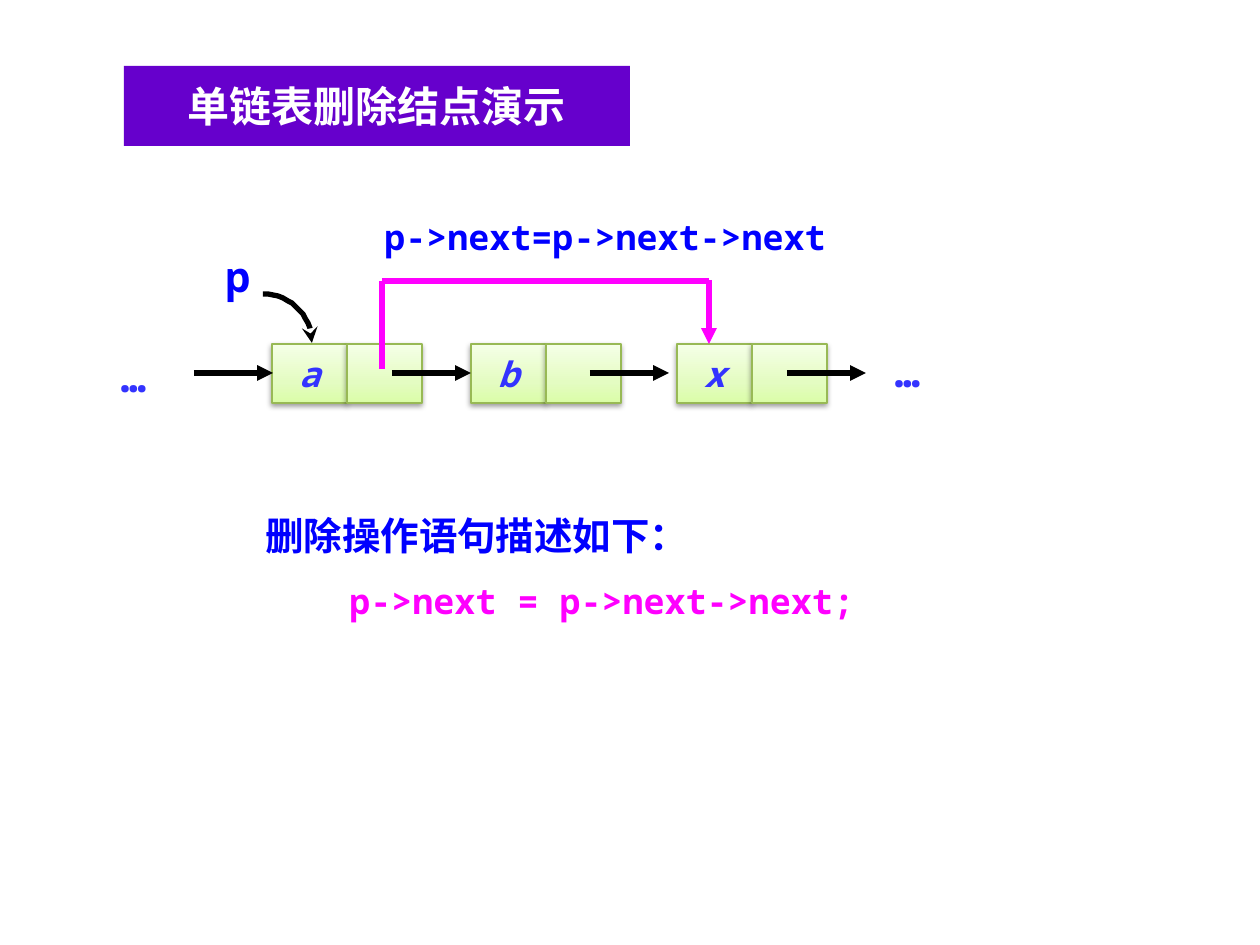
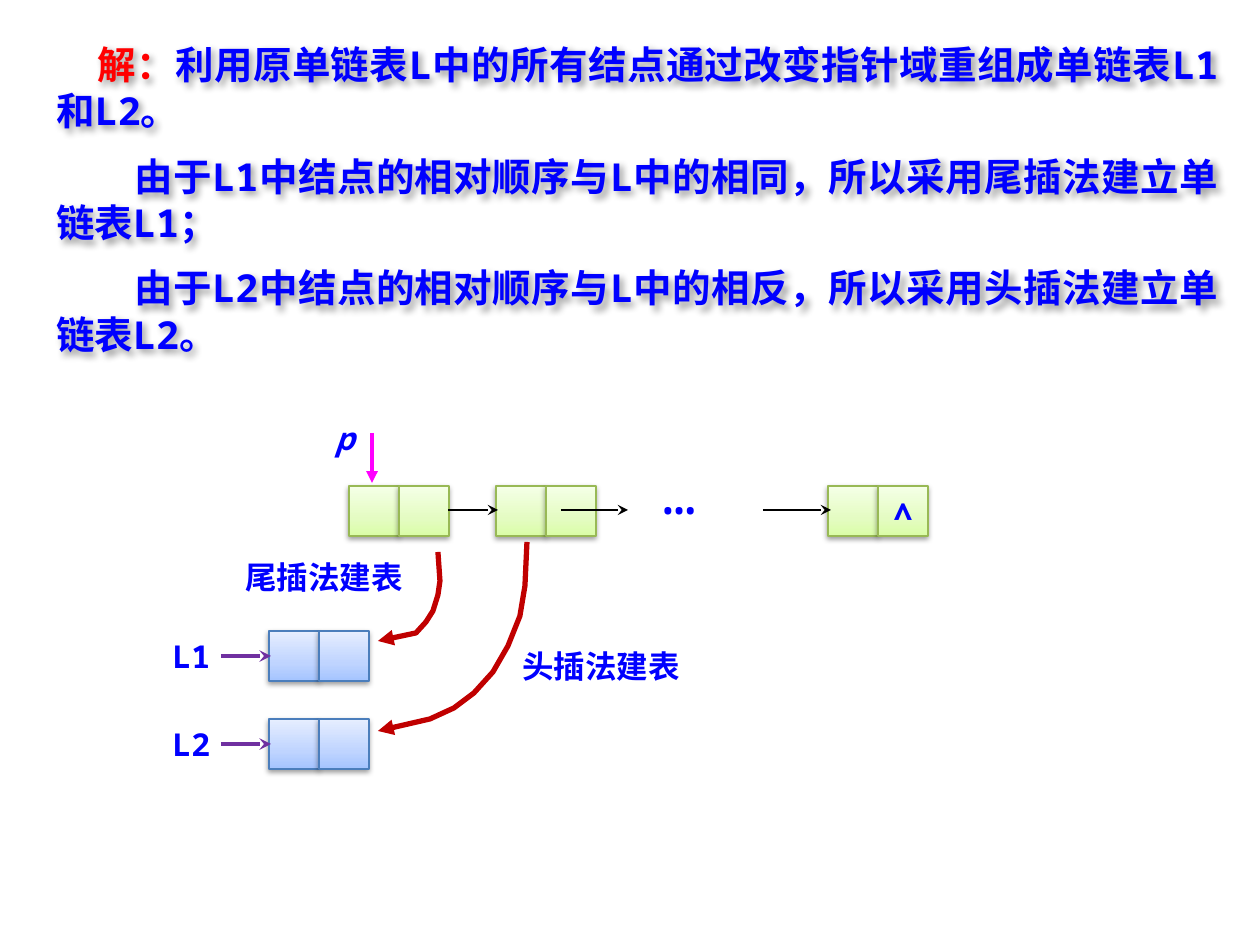
import math
from dataclasses import dataclass

from lxml import etree
from pptx import Presentation
from pptx import util as u
from pptx.dml.color import RGBColor
from pptx.enum import shapes, text
from pptx.oxml.ns import qn

EMU_PX = 914400 / 126


@dataclass(frozen=True)
class Theme:
    mono: str = "Noto Sans Mono"
    hans: str = "Noto Sans CJK SC"
    blue: str = "0000FF"
    node: str = "3333FF"
    pink: str = "FF00FF"
    red: str = "FF0000"
    dark: str = "C00000"
    plum: str = "7030A0"
    band: str = "6600CC"
    black: str = "000000"
    white: str = "FFFFFF"
    small: int = 18
    code: int = 20
    body: int = 22
    head: int = 24
    dots: int = 32
    thin: float = 0.75
    mid: float = 2.25
    thick: float = 3
    # Gradient stops from bottom to top, then the outline
    green: tuple = ("DAFDA7", "E4FCC2", "F5FFE7", "98B955")
    sky: tuple = ("A4C4FF", "BFD4FF", "E6EEFF", "4B7EBC")


T = Theme()
LEFT, MID, FULL = (text.PP_ALIGN.LEFT, text.PP_ALIGN.CENTER,
                   text.PP_ALIGN.JUSTIFY)


def px(n):
    return u.Emu(round(n * EMU_PX))


def rgb(code):
    return RGBColor.from_string(code)


def sub(node, tag, **attrs):
    return etree.SubElement(node, qn(tag), {k: str(v) for k, v in attrs.items()})


def write(frame, words, size=T.code, color=T.blue, font=T.mono, bold=True,
          italic=False, align=LEFT, indent=0, before=0, lines=None, more=False):
    """Write one paragraph; words is a string or a list of (string, colour)."""
    para = frame.add_paragraph() if more else frame.paragraphs[0]
    para.alignment = align
    if indent:
        props = para._p.get_or_add_pPr()
        props.set("marL", "0")
        props.set("indent", str(px(indent)))
    if before:
        para.space_before = u.Pt(before)
    if lines:
        para.line_spacing = lines
    for part, tint in [(words, color)] if isinstance(words, str) else words:
        run = para.add_run()
        run.text = part
        face = run.font
        face.name, face.size = font, u.Pt(size)
        face.bold, face.italic = bold, italic
        face.color.rgb = rgb(tint)
        sub(run._r.rPr, "a:ea", typeface=T.hans)


def label(slide, words, x, y, w, h, **form):
    box = slide.shapes.add_textbox(px(x), px(y), px(w), px(h))
    box.text_frame.word_wrap = True
    write(box.text_frame, words, **form)
    return box


def shade(shape, blur, dist, angle, alpha):
    """Give the shape an outer shadow: points, degrees and percent."""
    shape.shadow.inherit = False
    glow = sub(shape._element.spPr.find(qn("a:effectLst")), "a:outerShdw",
               blurRad=u.Pt(blur), dist=u.Pt(dist), dir=angle * 60000,
               algn="t", rotWithShape=0)
    sub(sub(glow, "a:srgbClr", val=T.black), "a:alpha", val=alpha * 1000)


def rect(slide, x, y, w, h):
    shape = slide.shapes.add_shape(shapes.MSO_SHAPE.RECTANGLE,
                                   px(x), px(y), px(w), px(h))
    shape.shadow.inherit = False
    return shape


def cell(slide, x, y, w, h, tones, words="", **form):
    shape = rect(slide, x, y, w, h)
    shape.fill.background()
    props = shape._element.spPr
    grad = etree.Element(qn("a:gradFill"), rotWithShape="1")
    stops = sub(grad, "a:gsLst")
    for place, tone in zip((0, 35, 100), tones):
        sub(sub(stops, "a:gs", pos=place * 1000), "a:srgbClr", val=tone)
    sub(grad, "a:lin", ang=270 * 60000, scaled=0)
    props.replace(props.find(qn("a:noFill")), grad)
    shape.line.color.rgb = rgb(tones[3])
    shape.line.width = u.Pt(T.thin)
    shade(shape, 3.1, 1.6, 90, 38)
    if words:
        frame = shape.text_frame
        frame.word_wrap = False
        frame.vertical_anchor = text.MSO_ANCHOR.MIDDLE
        write(frame, words, align=MID, **form)


def pair(slide, x, y, w, h, tones, data="", link="", **form):
    """Draw a list node: a data cell and a link cell side by side."""
    cell(slide, x, y, w, h, tones, data, **form)
    cell(slide, x + w, y, w, h, tones, link, **form)


def stroke(shape, color, width, tip):
    shape.line.color.rgb = rgb(color)
    shape.line.width = u.Pt(width)
    props = shape._element.spPr
    if tip:
        sub(props.find(qn("a:ln")), "a:tailEnd", type=tip)
    if props.find(qn("a:effectLst")) is None:
        sub(props, "a:effectLst")


def line(slide, x1, y1, x2, y2, color=T.black, width=T.thick, tip="triangle"):
    wire = slide.shapes.add_connector(shapes.MSO_CONNECTOR.STRAIGHT,
                                      px(x1), px(y1), px(x2), px(y2))
    stroke(wire, color, width, tip)


def curve(slide, points, color, tip):
    pen = slide.shapes.build_freeform(*points[0], scale=EMU_PX)
    pen.add_line_segments(points[1:], close=False)
    shape = pen.convert_to_shape()
    shape.fill.background()
    shape.shadow.inherit = False
    stroke(shape, color, T.thick, tip)


def title(slide, words):
    band = rect(slide, 124, 66, 506, 80)
    band.fill.solid()
    band.fill.fore_color.rgb = rgb(T.band)
    band.line.fill.background()
    frame = band.text_frame
    frame.word_wrap = True
    frame.vertical_anchor = text.MSO_ANCHOR.TOP
    frame.margin_left = frame.margin_right = px(23)
    frame.margin_top = frame.margin_bottom = px(15)
    write(frame, words, size=T.head, color=T.white, align=MID)


def erase(slide):
    """Slide on deleting a node from a linked list."""
    for x, name in ((272, "a"), (471, "b"), (677, "x")):
        pair(slide, x, 344, 75, 59, T.green, name, color=T.node, italic=True)
    for x, y in ((868, 339), (94, 344)):
        label(slide, "…", x, y, 79, 63, size=T.head, color=T.node, align=MID)
    turns = [math.radians(a) for a in range(0, 91, 6)]
    curve(slide, [(263 + 49 * math.sin(t), 343 - 49 * math.cos(t))
                  for t in turns], T.black, "stealth")
    label(slide, "p", 213, 244, 59, 63, size=T.head)
    for x in (194, 392, 590, 787):
        line(slide, x, 373, x + 79, 373)

    label(slide, "p->next=p->next->next", 372, 209, 515, 54)
    line(slide, 382, 369, 382, 281, T.pink, tip=None)
    line(slide, 709, 280, 709, 344, T.pink)
    line(slide, 382, 281, 709, 281, T.pink, tip=None)

    note = label(slide, "删除操作语句描述如下：", 253, 483, 675, 159,
                 size=T.body, lines=1.5)
    write(note.text_frame, "p->next = p->next->next;", color=T.pink,
          indent=84, lines=1.5, more=True)
    title(slide, "单链表删除结点演示")


def split(slide):
    """Slide on splitting L into L1 and L2."""
    note = label(slide, [("解：", T.red),
                         ("利用原单链表L中的所有结点通过改变指针域重组成单链表L1和L2。", T.blue)],
                 44, 35, 1187, 339, size=T.body, align=FULL, indent=41)
    for words in ("由于L1中结点的相对顺序与L中的相同，所以采用尾插法建立单链表L1；",
                  "由于L2中结点的相对顺序与L中的相反，所以采用头插法建立单链表L2。"):
        write(note.text_frame, words, size=T.body, align=FULL, indent=78,
              before=11, more=True)
    shade(note, 4, 3, 45, 40)

    for x, mark in ((349, ""), (496, ""), (828, "∧")):
        pair(slide, x, 486, 50, 50, T.green, link=mark, size=T.small)
    for x, end in ((448, 498), (561, 628), (763, 831)):
        line(slide, x, 510, end, 510, width=T.thin, tip="stealth")
    label(slide, "p", 323, 413, 49, 50, size=T.small, italic=True)
    line(slide, 372, 433, 372, 483, T.pink, T.mid)
    label(slide, "…", 650, 452, 100, 79, size=T.dots, bold=False)

    for y, name in ((631, "L1"), (719, "L2")):
        pair(slide, 269, y, 50, 50, T.sky)
        line(slide, 221, y + 25, 271, y + 25, T.plum, T.mid, "stealth")
        label(slide, name, 160, y, 69, 50, size=T.small)

    curve(slide, [(527, 542), (525, 586), (520, 616), (508, 646), (493, 672),
                  (474, 693), (454, 708), (430, 719), (378, 731)],
          T.dark, "triangle")
    curve(slide, [(438, 552), (440, 581), (438, 595), (433, 611), (426, 622),
                  (416, 633), (378, 641)], T.dark, "triangle")
    for words, x, y, w in (("头插法建表", 510, 641, 208), ("尾插法建表", 233, 552, 258)):
        label(slide, words, x, y, w, 50, size=T.small, font=T.hans)


def main():
    deck = Presentation()
    deck.slide_width, deck.slide_height = px(1260), px(945)
    for draw in (erase, split):
        draw(deck.slides.add_slide(deck.slide_layouts[6]))
    deck.save("out.pptx")


if __name__ == "__main__":
    main()
